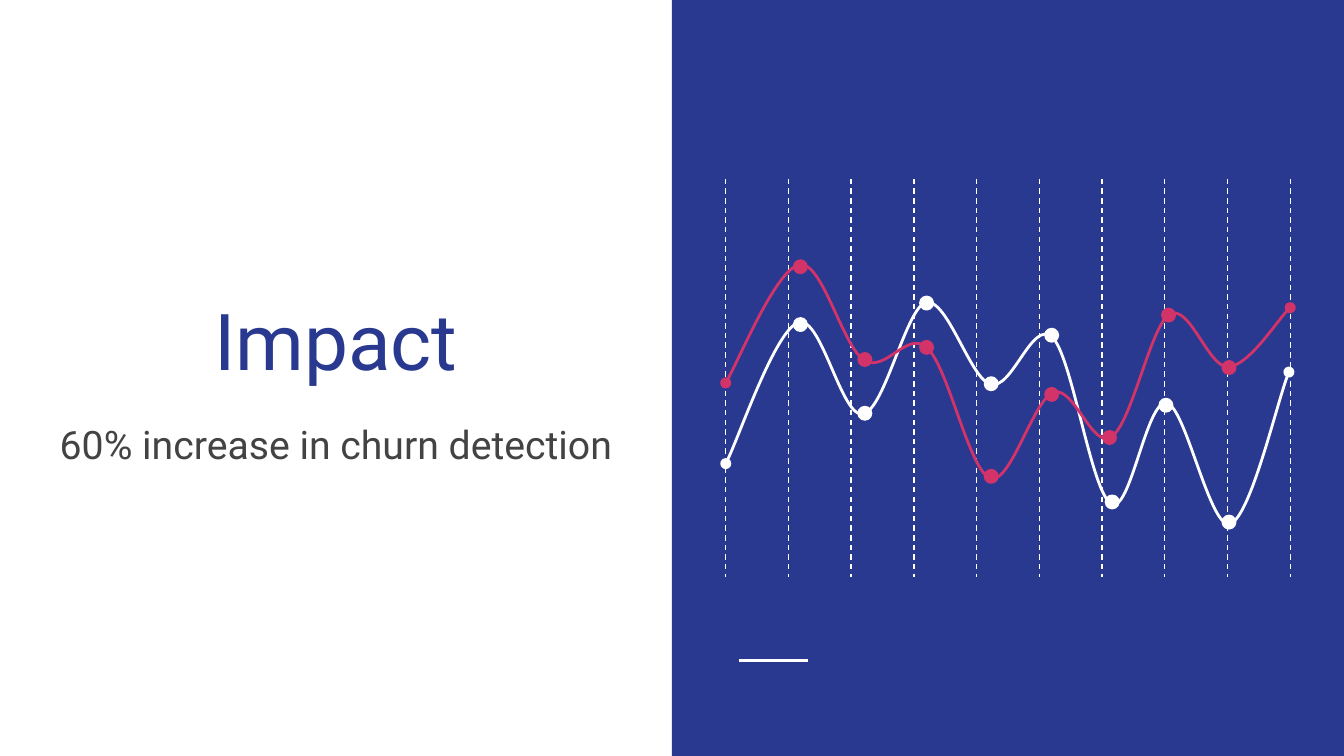
"""Build the Impact slide: a headline beside two smooth trend curves."""
from lxml.etree import SubElement
from pptx import Presentation
from pptx.dml.color import RGBColor
from pptx.enum.dml import MSO_LINE
from pptx.enum.shapes import MSO_CONNECTOR, MSO_SHAPE
from pptx.enum.text import MSO_ANCHOR, PP_ALIGN
from pptx.oxml.ns import qn
from pptx.util import Pt

COLORS = {"navy": "2A3990", "white": "FFFFFF", "pink": "D23369", "gray": "434343"}
HEADLINE = "Impact"
MESSAGE = "60% increase in churn detection"
TRENDS = [
    {
        "color": "white",
        "start": (388.8, 248.4),
        "curves": [
            ((395.3, 236.2), (415.4, 177.1), (427.7, 172.8)),
            ((439.9, 168.5), (450.7, 223.9), (462.2, 221.8)),
            ((473.8, 220.3), (485.3, 164.9), (496.1, 162)),
            ((507.6, 159.8), (519.8, 203), (530.6, 205.9)),
            ((542.2, 209.5), (553, 170.6), (563.8, 180.7)),
            ((574.6, 191.5), (584.6, 264.2), (595.4, 270)),
            ((605.5, 275.8), (614.2, 213.8), (625, 216)),
            ((635, 217.4), (648, 283), (658.8, 280.8)),
            ((669.6, 277.9), (684.7, 213.1), (690.5, 199.4)),
        ],
        "dots": [(428.8, 173.9), (463.3, 221.4), (496.4, 162.4), (531, 205.6),
                 (563.4, 179.6), (595.8, 268.9), (624.6, 217.1), (658.4, 279.7)],
    },
    {
        "color": "pink",
        "start": (388.8, 205.2),
        "curves": [
            ((395.3, 194.4), (416.2, 144), (428.4, 141.8)),
            ((440.6, 139.7), (451.4, 185.8), (463, 193)),
            ((474.5, 200.2), (486, 176.4), (496.8, 186.5)),
            ((508.3, 197.3), (519.1, 252), (530.6, 256.3)),
            ((541.4, 259.9), (553.7, 213.8), (564.5, 210.2)),
            ((575.3, 206.6), (585.4, 241.2), (595.4, 234)),
            ((606.2, 227.5), (616.3, 175), (626.4, 168.5)),
            ((637.2, 162), (647.3, 197.3), (658.1, 196.6)),
            ((668.9, 195.8), (685.4, 169.9), (691.2, 164.9)),
        ],
        "dots": [(428.8, 142.9), (463.3, 192.6), (496.4, 186.1), (531, 255.2),
                 (563.4, 211.3), (594.4, 234.4), (626, 168.8), (658.4, 196.9)],
    },
]
SLIDE_WIDTH, SLIDE_HEIGHT = 720, 405
GRID_LEFT, GRID_RIGHT, GRID_TOP, GRID_BOTTOM = 388.8, 691.2, 95.8, 308.9
GRID_COUNT = 10
DOT_SIZE = 6.5


def rgb(color):
    return RGBColor.from_string(COLORS[color])


def add_text(slide, text, *, left, top, width, height, size, color, anchor):
    frame = slide.shapes.add_textbox(Pt(left), Pt(top), Pt(width), Pt(height)).text_frame
    frame.word_wrap = True
    frame.vertical_anchor = anchor
    frame.margin_left = frame.margin_right = frame.margin_top = frame.margin_bottom = Pt(7.2)
    paragraph = frame.paragraphs[0]
    paragraph.alignment = PP_ALIGN.CENTER
    run = paragraph.add_run()
    run.text = text
    run.font.name = "Roboto"
    run.font.size = Pt(size)
    run.font.color.rgb = rgb(color)


def add_line(slide, start, end, width, dash=None):
    line = slide.shapes.add_connector(MSO_CONNECTOR.STRAIGHT, *map(Pt, (*start, *end)))
    line.line.color.rgb = rgb("white")
    line.line.width = Pt(width)
    if dash:
        line.line.dash_style = dash
    SubElement(line._element.spPr, qn("a:effectLst"))


def add_filled(slide, kind, left, top, width, height, color, outline=None):
    shape = slide.shapes.add_shape(kind, Pt(left), Pt(top), Pt(width), Pt(height))
    shape.shadow.inherit = False
    shape.fill.solid()
    shape.fill.fore_color.rgb = rgb(color)
    if outline:
        shape.line.color.rgb = rgb(color)
        shape.line.width = Pt(outline)
    else:
        shape.line.fill.background()


def add_curve(slide, start, curves, color):
    builder = slide.shapes.build_freeform(*map(Pt, start))
    builder.add_line_segments(
        [(Pt(x), Pt(y)) for curve in curves for x, y in curve], close=False)
    trend = builder.convert_to_shape()
    trend.shadow.inherit = False
    trend.fill.background()
    trend.line.color.rgb = rgb(color)
    trend.line.width = Pt(1.5)
    outline = trend.line._get_or_add_ln()
    for end in ("a:headEnd", "a:tailEnd"):
        SubElement(outline, qn(end), type="oval")
    route = next(trend._element.iter(qn("a:path")))
    segments = route.findall(qn("a:lnTo"))
    for first in range(0, len(segments), 3):
        bezier = SubElement(route, qn("a:cubicBezTo"))
        for segment in segments[first:first + 3]:
            bezier.append(segment[0])
            route.remove(segment)


def main():
    deck = Presentation()
    deck.slide_width, deck.slide_height = Pt(SLIDE_WIDTH), Pt(SLIDE_HEIGHT)
    slide = deck.slides.add_slide(deck.slide_layouts[6])
    half = SLIDE_WIDTH / 2
    add_filled(slide, MSO_SHAPE.RECTANGLE, half, 0, half, SLIDE_HEIGHT, "navy")
    add_line(slide, (396, 354), (432.7, 354), 1.5)
    gap = (GRID_RIGHT - GRID_LEFT) / (GRID_COUNT - 1)
    for column in range(GRID_COUNT):
        x = GRID_LEFT + column * gap
        add_line(slide, (x, GRID_TOP), (x, GRID_BOTTOM), 0.75, MSO_LINE.DASH)
    add_text(slide, HEADLINE, left=20.9, top=90.7, width=318.2, height=123.1,
             size=42, color="navy", anchor=MSO_ANCHOR.BOTTOM)
    add_text(slide, MESSAGE, left=20.9, top=218.2, width=318.2, height=100,
             size=21, color="gray", anchor=MSO_ANCHOR.TOP)
    for trend in TRENDS:
        add_curve(slide, trend["start"], trend["curves"], trend["color"])
        for x, y in trend["dots"]:
            add_filled(slide, MSO_SHAPE.OVAL, x - DOT_SIZE / 2, y - DOT_SIZE / 2,
                       DOT_SIZE, DOT_SIZE, trend["color"], outline=1.5)
    deck.save("out.pptx")


if __name__ == "__main__":
    main()
